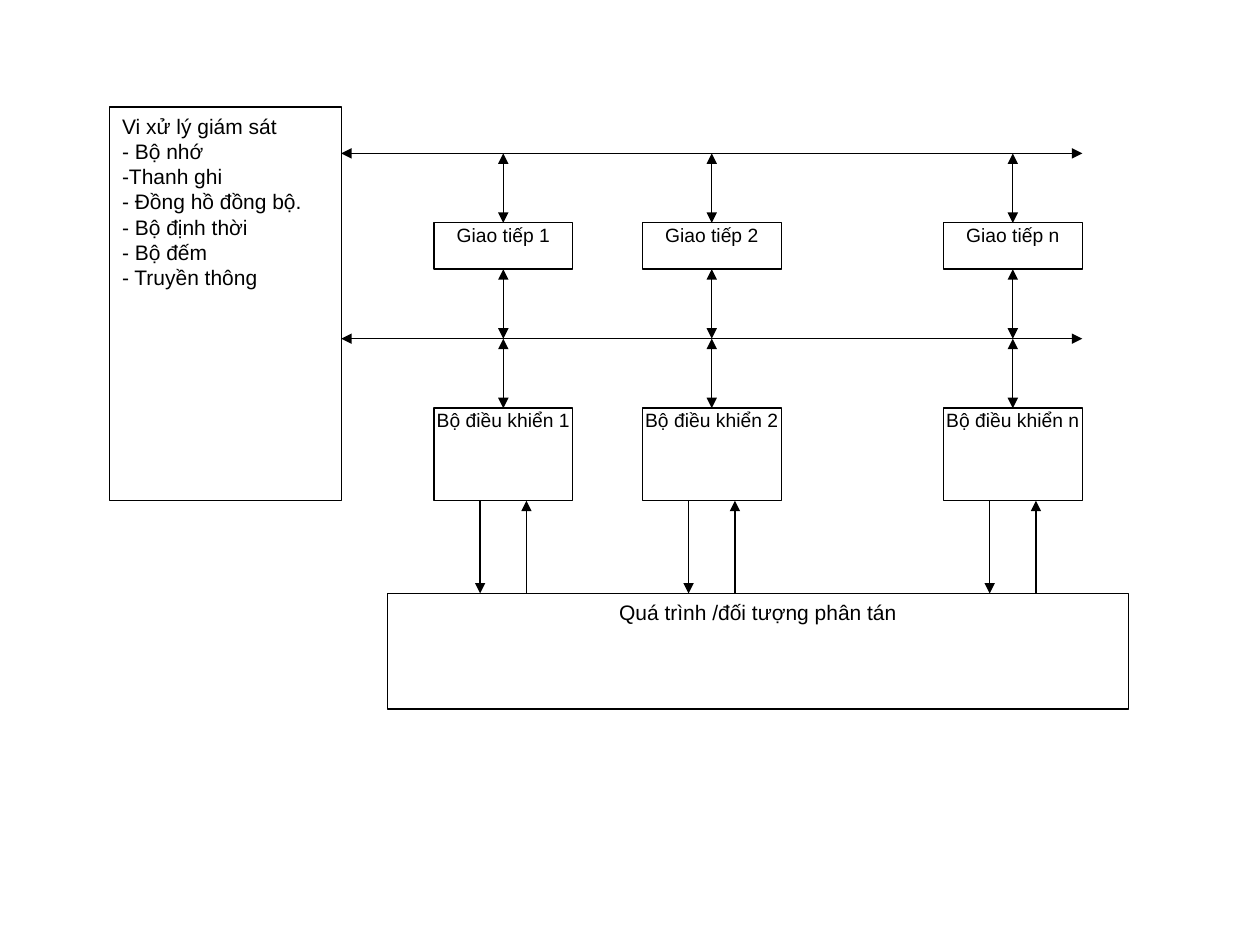
"""Draw a distributed control diagram: supervisor, two buses, interfaces, controllers and process."""
import pptx
import pptx.util
import pptx.dml.color
import pptx.enum.shapes
import pptx.enum.text
import pptx.oxml.ns
import lxml.etree

MONITOR = [
    "Vi xử lý giám sát",
    "- Bộ nhớ",
    "-Thanh ghi",
    "- Đồng hồ đồng bộ.",
    "- Bộ định thời",
    "- Bộ đếm",
    "- Truyền thông",
]
PROCESS = ["Quá trình /đối tượng phân tán"]
UNITS = [("1", 14), ("2", 23), ("n", 36)]
BUSES = [2, 10]
COLORS = {"fill": "FFFFFF", "ink": "000000"}
FONT = "Arial"
LEFT, TOP, CELL = 0.87, 0.85, 7.72 / 42

Inches, Pt = pptx.util.Inches, pptx.util.Pt
Align = pptx.enum.text.PP_ALIGN


def color(name):
    return pptx.dml.color.RGBColor.from_string(COLORS[name])


def spot(col, row):
    return Inches(LEFT + col * CELL), Inches(TOP + row * CELL)


def box(slide, col, row, cols, rows, lines, size=12, align=Align.CENTER, tight=False):
    shape = slide.shapes.add_shape(
        pptx.enum.shapes.MSO_SHAPE.RECTANGLE,
        *spot(col, row), Inches(cols * CELL), Inches(rows * CELL))
    shape.shadow.inherit = False
    shape.fill.solid()
    shape.fill.fore_color.rgb = color("fill")
    shape.line.color.rgb = color("ink")
    shape.line.width = Pt(0.75)
    frame = shape.text_frame
    frame.word_wrap = True
    frame.vertical_anchor = pptx.enum.text.MSO_ANCHOR.TOP
    if tight:
        frame.margin_left = frame.margin_right = frame.margin_top = frame.margin_bottom = 0
    frame.text = "\n".join(lines)
    for para in frame.paragraphs:
        para.alignment = align
        for run in para.runs:
            run.font.size = Pt(size)
            run.font.name = FONT
            run.font.color.rgb = color("ink")
    return shape


def arrow(slide, start, end, ends=("headEnd", "tailEnd")):
    line = slide.shapes.add_connector(
        pptx.enum.shapes.MSO_CONNECTOR.STRAIGHT, *spot(*start), *spot(*end))
    line.line.color.rgb = color("ink")
    line.line.width = Pt(0.75)
    qn = pptx.oxml.ns.qn
    for tag in ends:
        lxml.etree.SubElement(line.line._get_or_add_ln(), qn("a:" + tag), type="triangle")
    lxml.etree.SubElement(line._element.spPr, qn("a:effectLst"))
    return line


def column(slide, name, col):
    port = box(slide, col, 5, 6, 2, [f"Giao tiếp {name}"], 11, tight=True)
    control = box(slide, col, 13, 6, 4, [f"Bộ điều khiển {name}"], 11, tight=True)
    mid = col + 3
    links = [(2, 5, port, 0), (10, 7, port, 2), (10, 13, control, 0)]
    for start, end, shape, side in links:
        arrow(slide, (mid, start), (mid, end)).end_connect(shape, side)
    arrow(slide, (mid - 1, 17), (mid - 1, 21), ["tailEnd"])
    arrow(slide, (mid + 1, 21), (mid + 1, 17), ["tailEnd"])


def main():
    deck = pptx.Presentation()
    deck.slide_width, deck.slide_height = Inches(10), Inches(7.5)
    slide = deck.slides.add_slide(deck.slide_layouts[6])
    box(slide, 0, 0, 10, 17, MONITOR, align=Align.LEFT)
    box(slide, 12, 21, 32, 5, PROCESS)
    for row in BUSES:
        arrow(slide, (10, row), (42, row))
    for name, col in UNITS:
        column(slide, name, col)
    deck.save("out.pptx")


if __name__ == "__main__":
    main()
